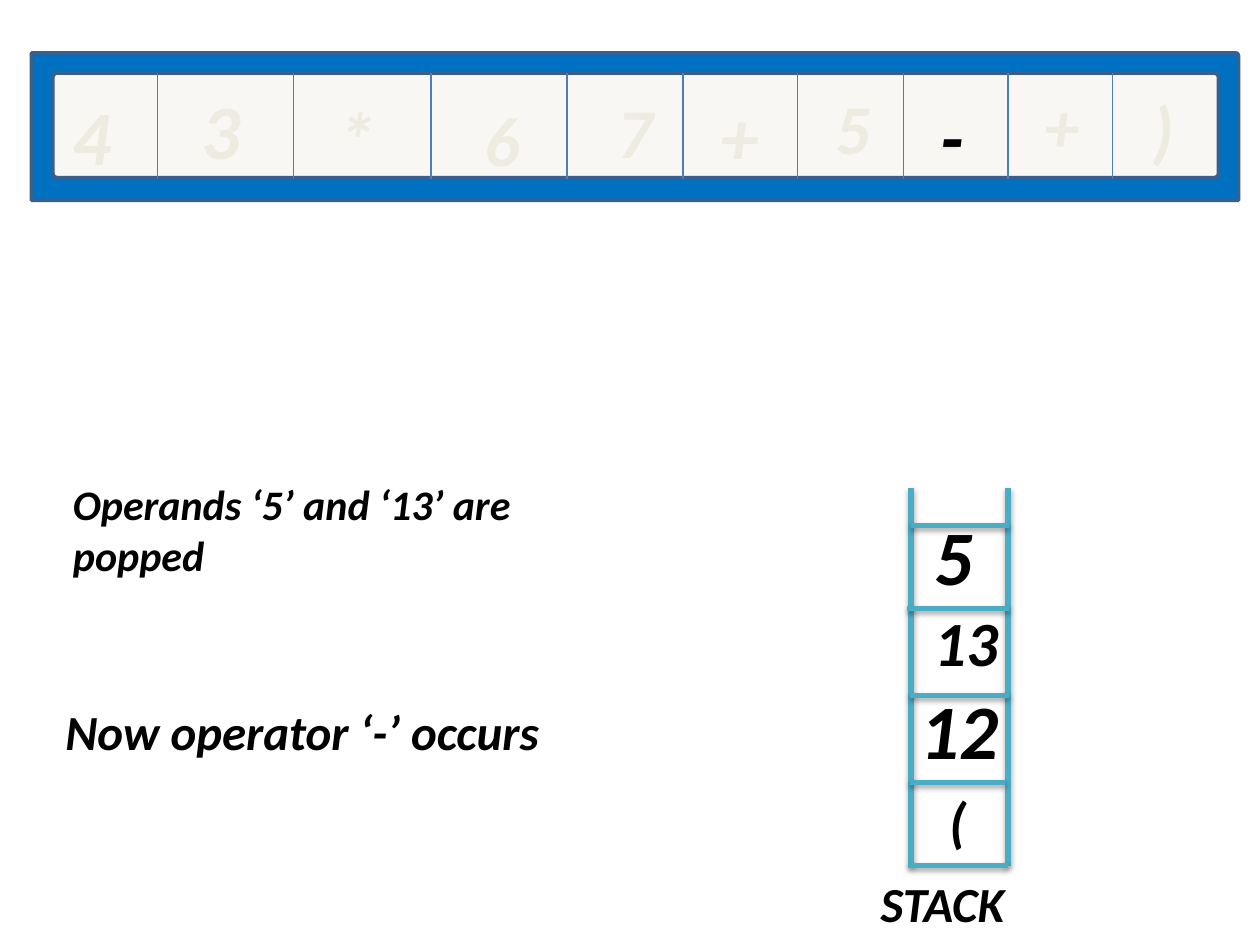
"""Build a slide showing postfix evaluation with an input row and a stack."""
from lxml.etree import SubElement
from pptx import Presentation
from pptx.dml.color import RGBColor
from pptx.enum.shapes import MSO_CONNECTOR, MSO_SHAPE
from pptx.enum.text import MSO_AUTO_SIZE
from pptx.oxml.ns import qn
from pptx.util import Inches, Pt

FRAME_BLUE = RGBColor(0x00, 0x70, 0xC0)
EDGE_BLUE = RGBColor(0x3A, 0x5F, 0x8C)
DIVIDER_BLUE = RGBColor(0x4B, 0x7E, 0xBC)
CELL_CREAM = RGBColor(0xF8, 0xF7, 0xF3)
FADED = RGBColor(0xEE, 0xEC, 0xE1)
STACK_TEAL = RGBColor(0x4B, 0xAC, 0xC6)
BLACK = RGBColor(0x00, 0x00, 0x00)

ROW_TOP, ROW_BOTTOM = 0.58, 1.42
DIVIDERS = (1.25, 2.33, 3.42, 4.5, 5.42, 6.33, 7.17, 8, 8.83)
TOKENS = (
    ("4", 0.48, 0.65, 0.83, 44),
    ("3", 1.5, 0.61, 1.08, 44),
    ("*", 2.58, 0.67, 1.08, 44),
    ("6", 3.75, 0.72, 1.08, 40),
    ("7", 4.8, 0.65, 0.83, 40),
    ("+", 5.62, 0.65, 0.92, 44),
    ("5", 6.53, 0.62, 0.83, 40),
    ("-", 7.35, 0.72, 0.83, 40),
    ("+", 8.19, 0.61, 0.83, 40),
    (")", 9.05, 0.64, 0.83, 40),
)
STACK_TOP, STACK_BOTTOM = 3.87, 6.87
STACK_SIDES = (8, 7.23)
STACK_LEVELS = (
    (7.21, 8, STACK_BOTTOM),
    (7.22, 7.98, 6.21),
    (7.22, 8.01, 5.52),
    (7.2, 8.01, 4.83),
    (7.23, 8.01, 4.17),
)
STACK_ITEMS = (
    ("(", 7.44, 6.19, 0.62, 0.64, 32),
    ("12", 7.21, 5.37, 2.08, 0.84, 44),
    ("13", 7.32, 4.74, 1.97, 0.71, 36),
    ("5", 7.32, 3.99, 0.85, 0.84, 44),
)


def write(frame, text, *, size, color=BLACK, font="Calibri"):
    paragraph = frame.paragraphs[0]
    run = paragraph.add_run()
    run.text = text
    run.font.name = font
    run.font.size = Pt(size)
    run.font.bold = True
    run.font.italic = True
    run.font.color.rgb = color


class SlideBuilder:
    def __init__(self, slide):
        self.slide = slide

    def panel(self, kind, left, top, width, height, fill, rounding):
        panel = self.slide.shapes.add_shape(
            kind, Inches(left), Inches(top), Inches(width), Inches(height))
        panel.adjustments[0] = rounding
        panel.shadow.inherit = False
        panel.fill.solid()
        panel.fill.fore_color.rgb = fill
        panel.line.color.rgb = EDGE_BLUE
        panel.line.width = Pt(2)

    def line(self, start, end, color, width, shadow=False):
        line = self.slide.shapes.add_connector(
            MSO_CONNECTOR.STRAIGHT, *map(Inches, start + end))
        line.line.color.rgb = color
        line.line.width = Pt(width)
        effects = SubElement(line._element.spPr, qn("a:effectLst"))
        if shadow:
            outer = SubElement(
                effects, qn("a:outerShdw"), blurRad=str(Pt(3.1)),
                dist=str(Pt(1.8)), dir="5400000", rotWithShape="0")
            tint = SubElement(outer, qn("a:srgbClr"), val=str(BLACK))
            SubElement(tint, qn("a:alpha"), val="35000")

    def text(self, text, left, top, width, height, **style):
        box = self.slide.shapes.add_textbox(
            Inches(left), Inches(top), Inches(width), Inches(height))
        box.text_frame.word_wrap = True
        box.text_frame.auto_size = MSO_AUTO_SIZE.SHAPE_TO_FIT_TEXT
        write(box.text_frame, text, **style)


def main():
    deck = Presentation()
    deck.slide_width, deck.slide_height = Inches(10), Inches(7.5)
    builder = SlideBuilder(deck.slides.add_slide(deck.slide_layouts[6]))

    builder.panel(MSO_SHAPE.ROUND_1_RECTANGLE, 0.25, 0.42, 9.58, 1.17, FRAME_BLUE, 0.02)
    builder.panel(MSO_SHAPE.ROUNDED_RECTANGLE, 0.42, ROW_TOP, 9.25, 0.83, CELL_CREAM, 0.04)
    for x in DIVIDERS:
        builder.line((x, ROW_TOP), (x, ROW_BOTTOM), DIVIDER_BLUE, 0.75)
    for token, left, top, width, size in TOKENS:
        height = 0.84 if size == 44 else 0.77
        builder.text(token, left, top, width, height, size=size, color=FADED)
    builder.text("-", 7.37, 0.65, 0.83, 0.84, size=44)

    for x in STACK_SIDES:
        builder.line((x, STACK_TOP), (x, STACK_BOTTOM), STACK_TEAL, 3, shadow=True)
    for left, right, y in STACK_LEVELS:
        builder.line((left, y), (right, y), STACK_TEAL, 3, shadow=True)
    for item, left, top, width, height, size in STACK_ITEMS:
        builder.text(item, left, top, width, height, size=size)
    builder.text("STACK", 6.89, 6.88, 2.08, 0.57, size=28)

    builder.text("Now operator ‘-’ occurs", 0.42, 5.52, 5.75, 0.57, size=28)
    builder.text("Operands ‘5’ and ‘13’ are popped", 0.48, 3.75, 3.81, 0.91, size=24)
    deck.save("out.pptx")


if __name__ == "__main__":
    main()
